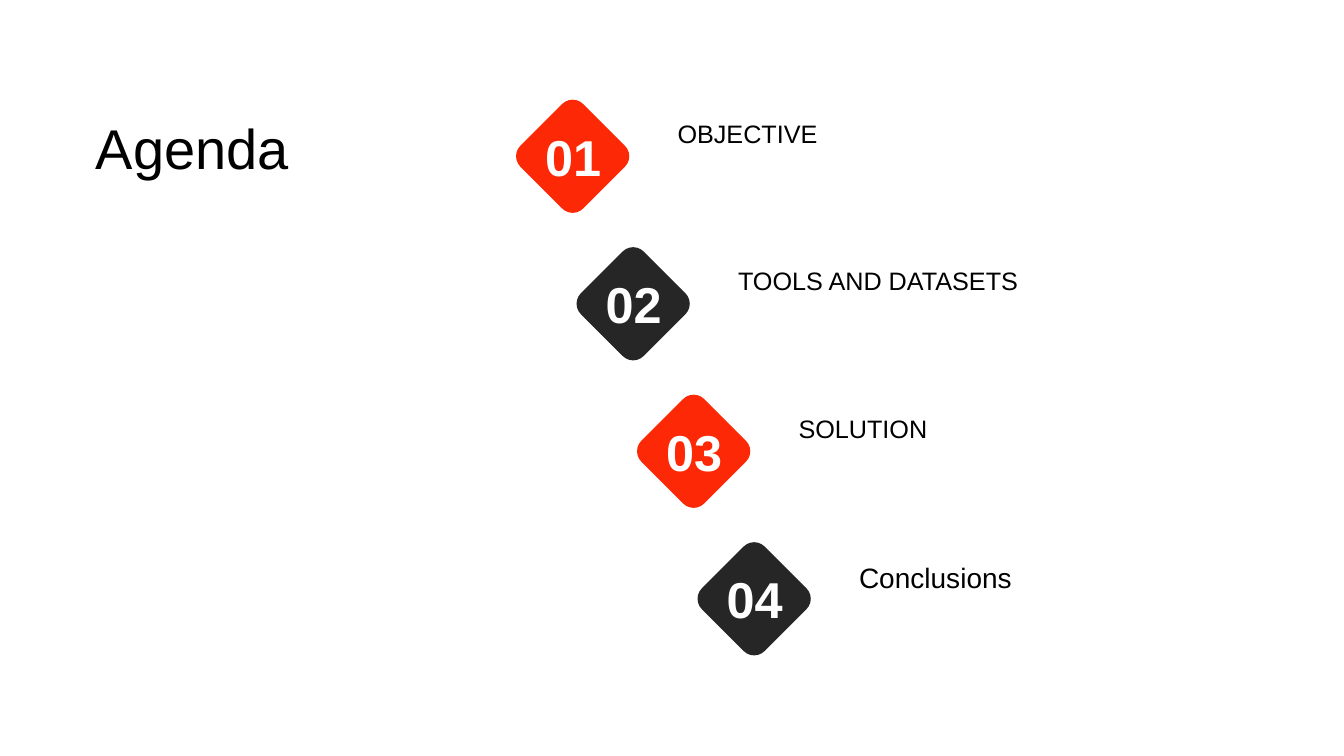
from pptx import Presentation
from pptx import util as u
from pptx.dml import color
from pptx.enum import shapes, text

FONT = "Arial"
BLACK, WHITE, RED, CHARCOAL = "000000", "FFFFFF", "FD2906", "262626"
AGENDA = [
    ("OBJECTIVE", 18, RED),
    ("TOOLS AND DATASETS", 18, CHARCOAL),
    ("SOLUTION", 18, RED),
    ("Conclusions", 20, CHARCOAL),
]
FIRST_LEFT, FIRST_TOP, LAST_TOP = 5.24, 1.11, 5.5
STEP_X = 0.6
STEP_Y = (LAST_TOP - FIRST_TOP) / (len(AGENDA) - 1)
DIAMOND_SIZE = 0.88


def rgb(value):
    """Return the colour for a hex string."""
    return color.RGBColor.from_string(value)


def inches(*lengths):
    """Convert several lengths to inches."""
    return [u.Inches(length) for length in lengths]


def write(frame, content, size, hex_color, bold=False, align=text.PP_ALIGN.LEFT):
    """Write one formatted run into a text frame."""
    frame.word_wrap = True
    frame.auto_size = text.MSO_AUTO_SIZE.SHAPE_TO_FIT_TEXT
    paragraph = frame.paragraphs[0]
    paragraph.alignment = align
    run = paragraph.add_run()
    run.text = content
    run.font.name = FONT
    run.font.size = u.Pt(size)
    run.font.bold = bold
    run.font.color.rgb = rgb(hex_color)


def set_title(slide, content):
    """Place and fill the title placeholder."""
    title = slide.shapes.title
    title.left, title.top, title.width, title.height = inches(0.85, 1.07, 3.71, 0.77)
    title.text_frame.vertical_anchor = text.MSO_ANCHOR.MIDDLE
    write(title.text_frame, content, 40, BLACK)


def add_text(group, box, content, size, hex_color, **style):
    """Add a text box to an agenda group."""
    frame = group.shapes.add_textbox(*inches(*box)).text_frame
    frame.margin_left = frame.margin_right = u.Inches(0.12)
    frame.margin_top = frame.margin_bottom = u.Inches(0.05)
    write(frame, content, size, hex_color, **style)


def add_diamond(group, left, top, fill):
    """Add a rounded square turned onto its corner."""
    diamond = group.shapes.add_shape(
        shapes.MSO_SHAPE.ROUNDED_RECTANGLE,
        *inches(left, top, DIAMOND_SIZE, DIAMOND_SIZE))
    diamond.rotation = 315
    diamond.shadow.inherit = False
    diamond.fill.solid()
    diamond.fill.fore_color.rgb = rgb(fill)
    diamond.line.fill.background()


def add_agenda_item(slide, index, label, size, fill):
    """Add one grouped agenda step with its label, diamond and number."""
    left = FIRST_LEFT + index * STEP_X
    top = FIRST_TOP + index * STEP_Y
    group = slide.shapes.add_group_shape()
    add_text(group, (left + 1.36, top + 0.01, 4.43, 0.4), label, size, BLACK)
    add_diamond(group, left, top, fill)
    add_text(group, (left - 0.08, top + 0.09, 1.05, 0.71), f"{index + 1:02d}",
             36, WHITE, bold=True, align=text.PP_ALIGN.CENTER)


def main():
    """Build and save the agenda slide."""
    presentation = Presentation()
    presentation.slide_width, presentation.slide_height = inches(13.33, 7.5)
    slide = presentation.slides.add_slide(presentation.slide_layouts[5])
    set_title(slide, "Agenda")
    for index, (label, size, fill) in enumerate(AGENDA):
        add_agenda_item(slide, index, label, size, fill)
    presentation.save("out.pptx")


if __name__ == "__main__":
    main()
